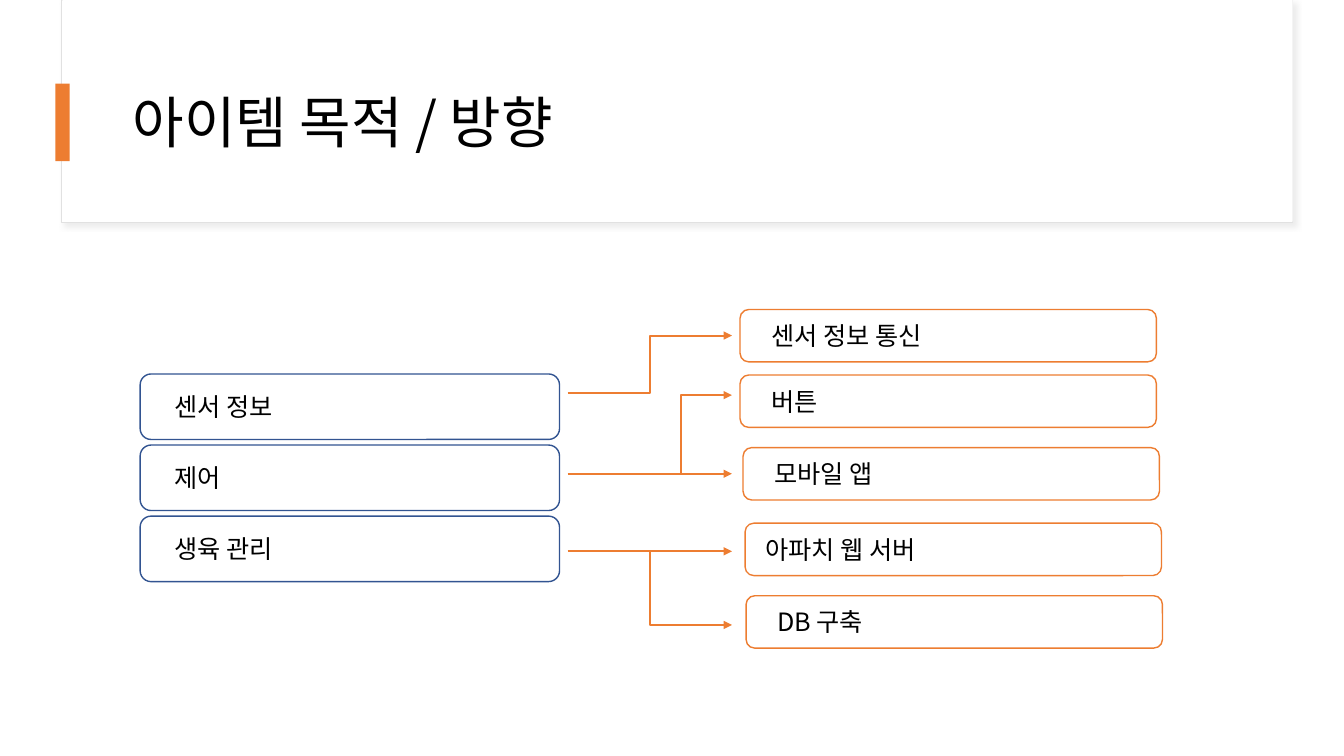
from lxml.etree import SubElement
from pptx import Presentation
from pptx.dml.color import RGBColor
from pptx.enum.shapes import MSO_CONNECTOR, MSO_SHAPE
from pptx.enum.text import MSO_ANCHOR
from pptx.oxml.ns import qn
from pptx.util import Inches, Pt

FONT = "Noto Sans CJK KR"
BLACK = RGBColor(0x00, 0x00, 0x00)
WHITE = RGBColor(0xFF, 0xFF, 0xFF)
ORANGE = RGBColor(0xED, 0x7D, 0x31)
NAVY = RGBColor(0x32, 0x54, 0x91)
PALE_GRAY = RGBColor(0xE1, 0xE1, 0xE1)
SHADOW_GRAY = RGBColor(0xD9, 0xD9, 0xD9)

GOAL_LEFT, GOAL_TOP, GOAL_PITCH = 1.39, 3.71, 0.705
GOALS = ["센서 정보", "제어", "생육 관리"]

# left, top, distance from the box edge to its label, label
DIRECTIONS = [
    (7.34, 3.07, 0.21, "센서 정보 통신"),
    (7.34, 3.72, 0.21, "버튼"),
    (7.37, 4.44, 0.21, "모바일 앱"),
    (7.39, 5.19, 0.10, "아파치 웹 서버"),
    (7.40, 5.91, 0.21, "DB 구축"),
]

ARROW_START, ARROW_BRANCH, ARROW_END = 5.63, 6.44, 7.26
# start height, end height, share of the width before the bend
BENT_ARROWS = [(3.9, 3.33, 0.5), (4.7, 3.92, 0.69), (5.47, 6.2, 0.5)]
STRAIGHT_ARROWS = [4.7, 5.47]


class SlideBuilder:
    def __init__(self, slide):
        self.shapes = slide.shapes

    def box(self, left, top, width, height, fill=None, line=None,
            line_width=1, preset=MSO_SHAPE.RECTANGLE):
        box = self.shapes.add_shape(
            preset, Inches(left), Inches(top), Inches(width), Inches(height))
        box.shadow.inherit = False
        if fill is None:
            box.fill.background()
        else:
            box.fill.solid()
            box.fill.fore_color.rgb = fill
        if line is None:
            box.line.fill.background()
        else:
            box.line.color.rgb = line
            box.line.width = Pt(line_width)
        return box

    def soft_shadow(self, box):
        effects = box.element.spPr.find(qn("a:effectLst"))
        shadow = SubElement(effects, qn("a:outerShdw"), blurRad=str(Pt(4)),
                            dist=str(Pt(3)), dir="2700000", algn="tl", rotWithShape="0")
        color = SubElement(shadow, qn("a:srgbClr"), val=str(SHADOW_GRAY))
        SubElement(color, qn("a:alpha"), val="50000")

    def text(self, left, top, width, height, words, size=18, spacing=1.0,
             anchor=MSO_ANCHOR.TOP):
        frame = self.shapes.add_textbox(
            Inches(left), Inches(top), Inches(width), Inches(height)).text_frame
        frame.word_wrap = True
        frame.vertical_anchor = anchor
        frame.text = words
        paragraph = frame.paragraphs[0]
        paragraph.line_spacing = spacing
        font = paragraph.runs[0].font
        font.name = FONT
        font.size = Pt(size)
        font.color.rgb = BLACK
        properties = paragraph.runs[0].font._element
        SubElement(properties, qn("a:ea"), typeface=FONT)

    def labelled_box(self, left, top, width, height, line, words, inset, drop):
        self.box(left, top, width, height, line=line,
                 preset=MSO_SHAPE.ROUNDED_RECTANGLE)
        self.text(left + inset, top + drop, width, 0.4, words)

    def arrow(self, start_x, start_y, end_x, end_y, bend=None):
        """Draw a straight arrow, or an elbow when bend is given."""
        kind = MSO_CONNECTOR.STRAIGHT if bend is None else MSO_CONNECTOR.ELBOW
        arrow = self.shapes.add_connector(
            kind, Inches(start_x), Inches(start_y), Inches(end_x), Inches(end_y))
        arrow.line.color.rgb = ORANGE
        arrow.line.width = Pt(1.5)
        properties = arrow.element.spPr
        SubElement(properties.find(qn("a:ln")), qn("a:tailEnd"), type="triangle")
        SubElement(properties, qn("a:effectLst"))
        if bend is not None:
            guides = properties.find(qn("a:prstGeom")).find(qn("a:avLst"))
            SubElement(guides, qn("a:gd"), name="adj1",
                       fmla=f"val {round(bend * 100000)}")


def main():
    presentation = Presentation()
    presentation.slide_width = Inches(13.33)
    presentation.slide_height = Inches(7.5)
    builder = SlideBuilder(
        presentation.slides.add_slide(presentation.slide_layouts[6]))

    header = builder.box(0.61, 0, 12.21, 2.21, WHITE, PALE_GRAY, 0.75)
    builder.soft_shadow(header)
    builder.box(0.62, 0, 12.2, 2.2, WHITE)
    builder.text(1.22, 0.6, 11.12, 1.29, "아이템 목적 / 방향", size=40,
                 spacing=0.9, anchor=MSO_ANCHOR.MIDDLE)
    builder.box(0.55, 0.83, 0.14, 0.77, ORANGE)

    for row, goal in enumerate(GOALS):
        builder.labelled_box(GOAL_LEFT, GOAL_TOP + row * GOAL_PITCH, 4.16, 0.65,
                             NAVY, goal, inset=0.24, drop=0.12)
    for left, top, inset, direction in DIRECTIONS:
        builder.labelled_box(left, top, 4.13, 0.52, ORANGE, direction,
                             inset, drop=0.06)

    for start_y, end_y, bend in BENT_ARROWS:
        builder.arrow(ARROW_START, start_y, ARROW_END, end_y, bend)
    for height in STRAIGHT_ARROWS:
        builder.arrow(ARROW_BRANCH, height, ARROW_END, height)

    presentation.save("out.pptx")


if __name__ == "__main__":
    main()
